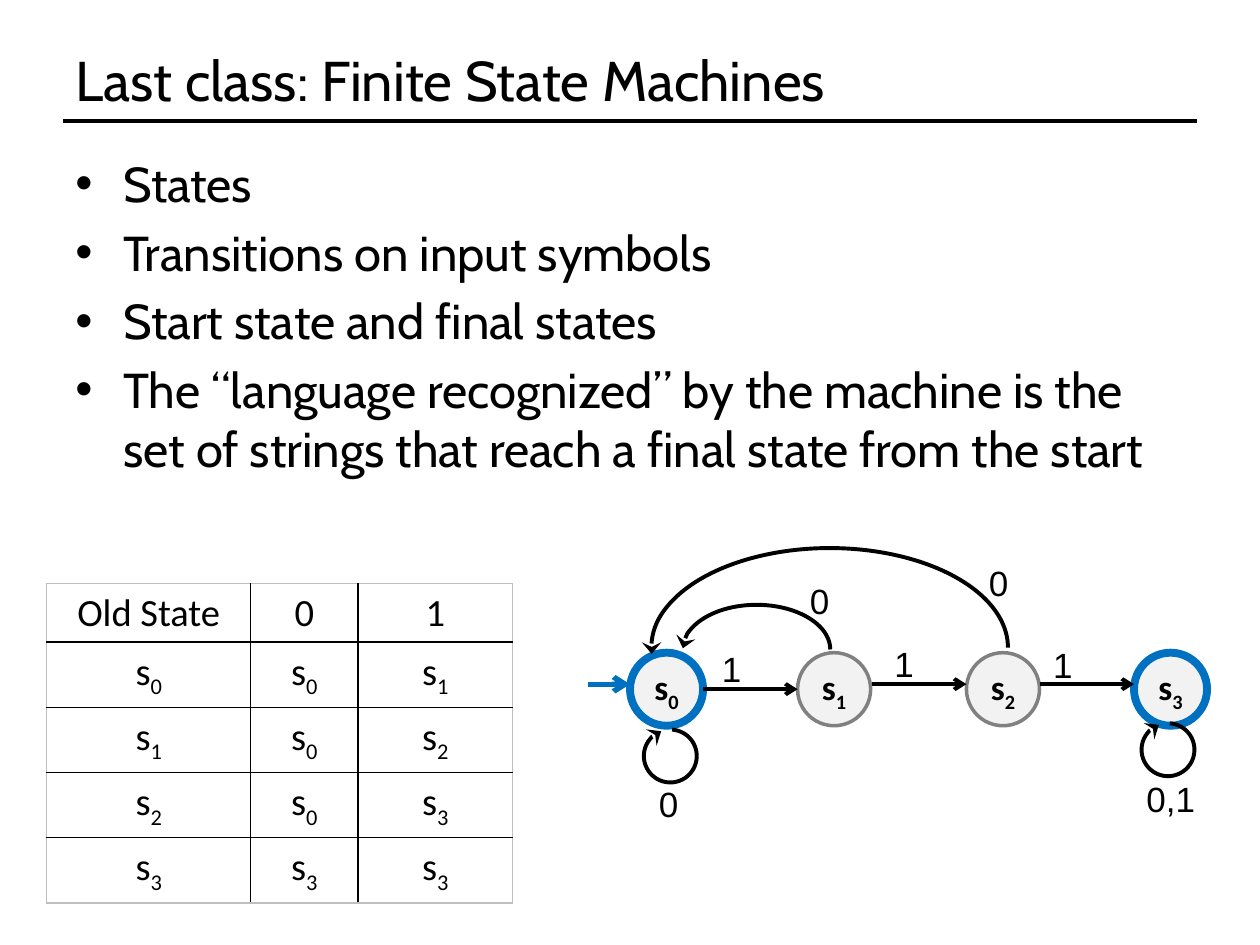
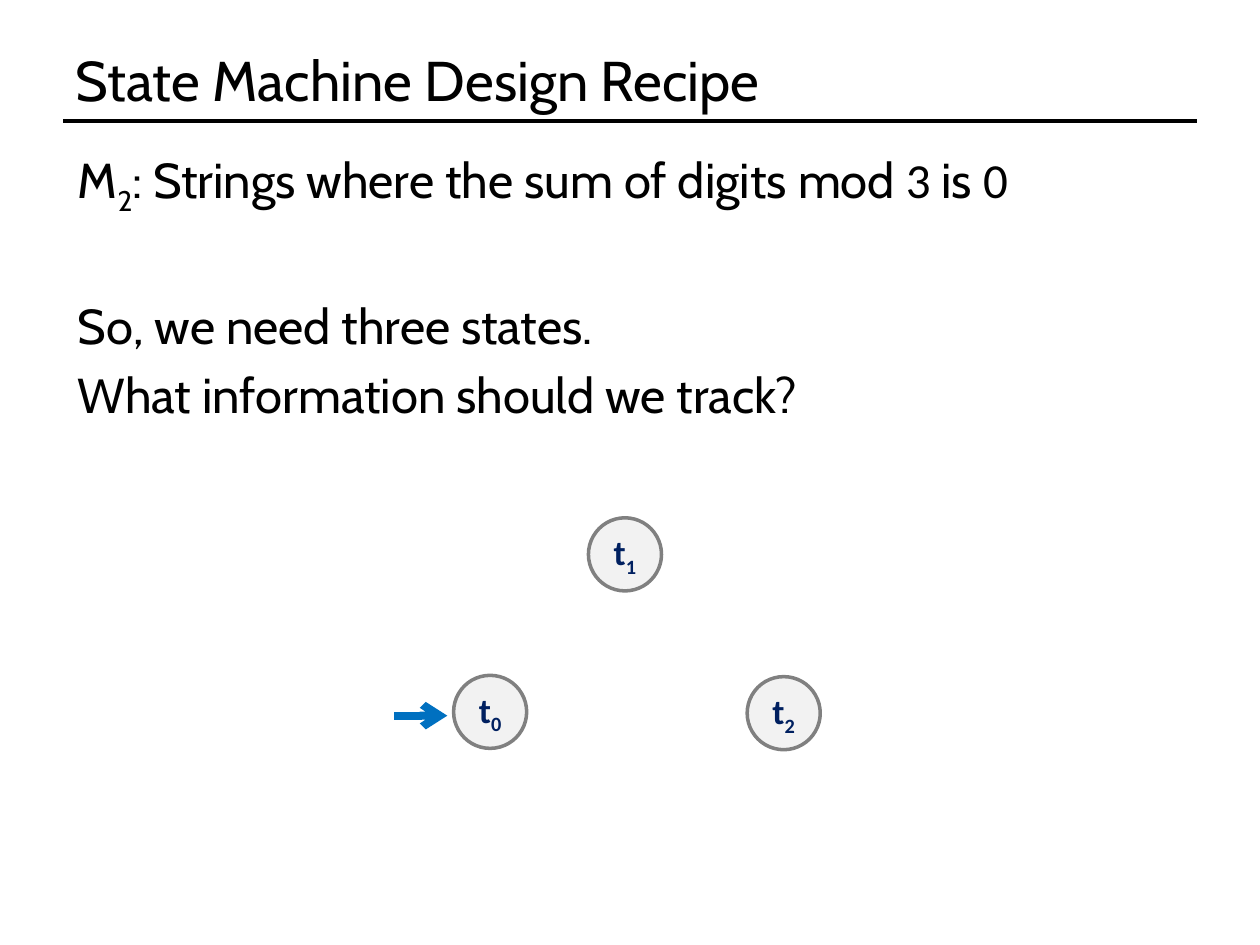
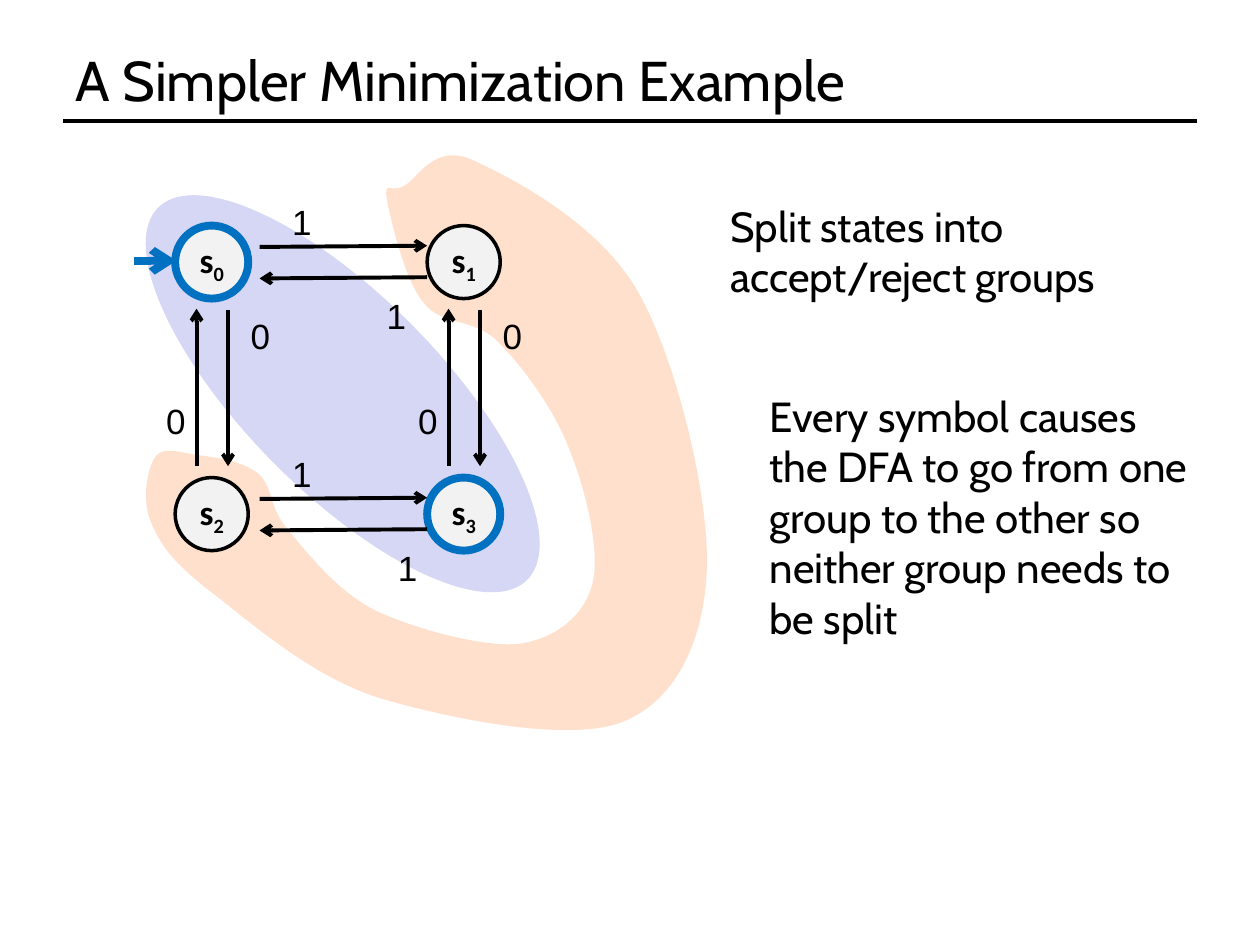
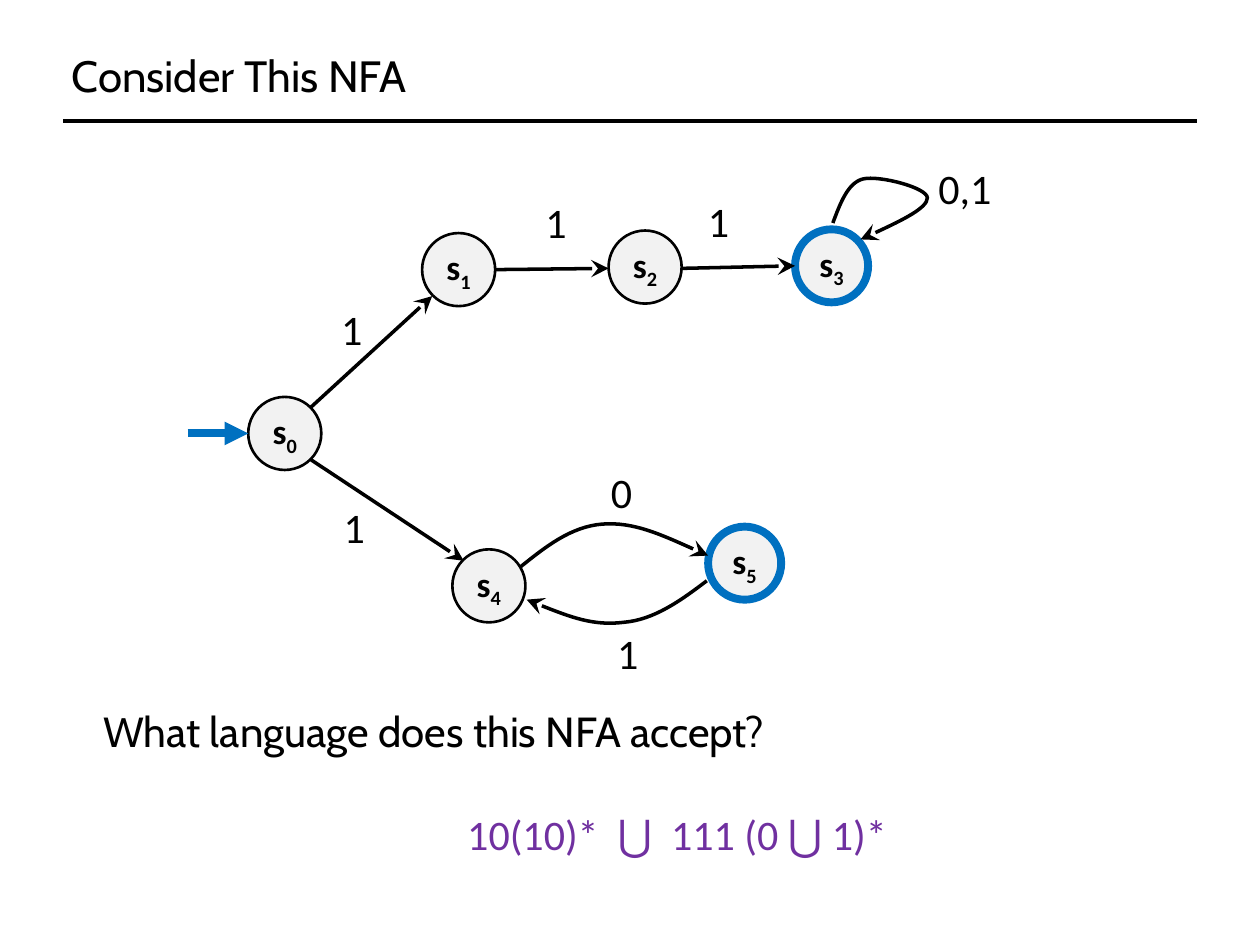
import itertools
from dataclasses import dataclass
from typing import Any, NamedTuple, Optional, Sequence

import pptx
import pptx.dml.color
import pptx.enum.shapes
import pptx.enum.text
import pptx.oxml.ns
import pptx.util
from lxml import etree

Inches = pptx.util.Inches
Pt = pptx.util.Pt
RGBColor = pptx.dml.color.RGBColor
SHAPE = pptx.enum.shapes.MSO_SHAPE
qn = pptx.oxml.ns.qn

# Shared colours, fonts and sizes
BLACK = RGBColor(0x00, 0x00, 0x00)
GRAY = RGBColor(0x80, 0x80, 0x80)
FRAME_GRAY = RGBColor(0xBF, 0xBF, 0xBF)
STATE_FILL = RGBColor(0xF2, 0xF2, 0xF2)
BLUE = RGBColor(0x00, 0x70, 0xC0)
NAVY = RGBColor(0x00, 0x20, 0x60)
PURPLE = RGBColor(0x70, 0x30, 0xA0)
PEACH = RGBColor(0xFF, 0xE0, 0xCC)
LAVENDER = RGBColor(0xD6, 0xD6, 0xF5)

HEAD, BODY, SYMBOL = "Cabin", "Calibri", "Arial"
STATE_SIZE = 0.58
TITLE_BOX = (0.5, 0.3, 9, 0.66)
PARAGRAPH_GAP = 5.6
BLANK_LINE_GAP = 45

Point = tuple[float, float]
Box = tuple[float, float, float, float]
Curve = tuple[float, float, float, float, float, float]


class Run(NamedTuple):
    text: str
    sub: bool = False
    font: Optional[str] = None
    tracking: float = 0


class Pen(NamedTuple):
    color: RGBColor
    width: float


class Tip(NamedTuple):
    kind: str
    width: str = "med"
    length: str = "med"


ACCEPT = Pen(BLUE, 4.5)
GRAY_RING = Pen(GRAY, 2)
RING = Pen(BLACK, 2)
THIN_RING = Pen(BLACK, 1.5)
EDGE = Pen(BLACK, 2.25)
NFA_EDGE = Pen(BLACK, 2)
TITLE_RULE = Pen(BLACK, 2)

ARROW = Tip("arrow")
TRIANGLE = Tip("triangle")
ARC_TIP = Tip("stealth", "lg")
NFA_TIP = Tip("stealth", "lg", "lg")


@dataclass
class State:
    index: int
    x: float
    y: float
    pen: Pen
    letter: str = "s"
    color: RGBColor = BLACK


@dataclass
class Edge:
    start: Point
    end: Point
    pen: Pen = EDGE
    head: Optional[Tip] = None
    tail: Optional[Tip] = ARROW


@dataclass
class Arc:
    box: Box
    start_angle: float
    rotation: float = 0
    head: Optional[Tip] = None
    tail: Optional[Tip] = None


@dataclass
class Label:
    text: str
    x: float
    y: float
    width: float = 0.25


# Text helpers
def set_format(font: Any, color: RGBColor, fmt: dict[str, Any]) -> None:
    for key, value in fmt.items():
        setattr(font, key, value)
    font.color.rgb = color


def add_runs(p: Any, runs: Sequence[Run], name: str, size: float,
             color: RGBColor = BLACK, bold: bool = False) -> None:
    for run in runs:
        r = p.add_run()
        r.text = run.text
        set_format(r.font, color,
                   {"name": run.font or name, "size": Pt(size), "bold": bold})
        if run.sub:
            r._r.get_or_add_rPr().set("baseline", "-25000")
        if run.tracking:
            r._r.get_or_add_rPr().set("spc", str(round(run.tracking * 100)))


def set_indent(p: Any, left: float, first: float = 0) -> None:
    pPr = p._p.get_or_add_pPr()
    pPr.set("marL", str(Inches(left)))
    pPr.set("indent", str(Inches(first)))


def add_bullet(p: Any) -> None:
    set_indent(p, 0.38, -0.38)
    pPr = p._p.get_or_add_pPr()
    etree.SubElement(pPr, qn("a:buFont"), typeface=SYMBOL)
    etree.SubElement(pPr, qn("a:buChar"), char="•")


def add_text(s: Any, box: Box, paragraphs: Sequence[Sequence[Run]], name: str,
             size: float, color: RGBColor = BLACK, bullets: bool = False,
             gaps: Sequence[float] = (), grow: bool = True) -> Any:
    tf = s.shapes.add_textbox(*map(Inches, box)).text_frame
    tf.word_wrap = True
    sizing = pptx.enum.text.MSO_AUTO_SIZE
    tf.auto_size = sizing.SHAPE_TO_FIT_TEXT if grow else sizing.NONE
    for i, runs in enumerate(paragraphs):
        p = tf.add_paragraph() if i else tf.paragraphs[0]
        if bullets:
            add_bullet(p)
        if i:
            p.space_before = Pt(gaps[i - 1])
        add_runs(p, runs, name, size, color)
    return tf


def add_labels(s: Any, labels: Sequence[Label], name: str, size: float,
               height: float) -> None:
    for label in labels:
        add_text(s, (label.x, label.y, label.width, height),
                 [[Run(label.text)]], name, size)


# Line and shape helpers
def style_line(shape: Any, pen: Pen, head: Optional[Tip] = None,
               tail: Optional[Tip] = None) -> None:
    shape.line.color.rgb = pen.color
    shape.line.width = Pt(pen.width)
    ln = shape._element.spPr.find(qn("a:ln"))
    for tag, tip in (("a:headEnd", head), ("a:tailEnd", tail)):
        if tip:
            etree.SubElement(ln, qn(tag), type=tip.kind, w=tip.width, len=tip.length)


def add_edge(s: Any, edge: Edge) -> Any:
    line = s.shapes.add_connector(pptx.enum.shapes.MSO_CONNECTOR.STRAIGHT,
                                  *map(Inches, edge.start + edge.end))
    style_line(line, edge.pen, edge.head, edge.tail)
    etree.SubElement(line._element.spPr, qn("a:effectLst"))
    return line


def add_arc(s: Any, arc: Arc) -> None:
    sp = s.shapes.add_shape(SHAPE.ARC, *map(Inches, arc.box))
    sp.shadow.inherit = False
    sp.adjustments[0], sp.adjustments[1] = arc.start_angle, 0
    sp.rotation = arc.rotation
    sp.fill.background()
    style_line(sp, EDGE, arc.head, arc.tail)


def add_ellipse(s: Any, box: Box, fill: RGBColor) -> Any:
    sp = s.shapes.add_shape(SHAPE.OVAL, *map(Inches, box))
    sp.shadow.inherit = False
    sp.fill.solid()
    sp.fill.fore_color.rgb = fill
    return sp


def add_state(s: Any, state: State) -> None:
    sp = add_ellipse(s, (state.x, state.y, STATE_SIZE, STATE_SIZE), STATE_FILL)
    style_line(sp, state.pen)
    tf = sp.text_frame
    for side in ("left", "right", "top", "bottom"):
        setattr(tf, f"margin_{side}", 0)
    tf.vertical_anchor = pptx.enum.text.MSO_ANCHOR.MIDDLE
    p = tf.paragraphs[0]
    p.alignment = pptx.enum.text.PP_ALIGN.CENTER
    add_runs(p, [Run(state.letter), Run(str(state.index), sub=True)],
             BODY, 20, state.color, bold=True)


def add_curve(s: Any, start: Point, curves: Sequence[Curve],
              close: bool = False) -> Any:
    """A freeform whose segments, three points each, become cubic curves."""
    points = [(Inches(c[i]), Inches(c[i + 1])) for c in curves for i in (0, 2, 4)]
    builder = s.shapes.build_freeform(Inches(start[0]), Inches(start[1]))
    builder.add_line_segments(points, close=close)
    sp = builder.convert_to_shape()
    sp.shadow.inherit = False
    segments = list(sp._element.iter(qn("a:lnTo")))
    for i in range(0, len(segments), 3):
        cubic = etree.Element(qn("a:cubicBezTo"))
        segments[i].addprevious(cubic)
        for segment in segments[i:i + 3]:
            cubic.append(segment[0])
            segment.getparent().remove(segment)
    return sp


def add_slide(prs: Any, title: str, box: Box = TITLE_BOX, size: float = 32) -> Any:
    s = prs.slides.add_slide(prs.slide_layouts[5])
    sp = s.shapes.title
    sp.left, sp.top, sp.width, sp.height = map(Inches, box)
    tf = sp.text_frame
    tf.auto_size = pptx.enum.text.MSO_AUTO_SIZE.NONE
    tf.vertical_anchor = pptx.enum.text.MSO_ANCHOR.MIDDLE
    p = tf.paragraphs[0]
    p.alignment = pptx.enum.text.PP_ALIGN.LEFT
    add_runs(p, [Run(title)], HEAD, size)
    return s


def add_title_rule(s: Any) -> None:
    """Place the rule under the title on the layout that all slides share."""
    rule = add_edge(s, Edge((0.5, 0.96), (9.5, 0.96), TITLE_RULE, tail=None))
    s.slide_layout.shapes._spTree.append(rule._element)


# Transition table
def add_borders(cell: Any, outer: Sequence[bool]) -> None:
    tcPr = cell._tc.get_or_add_tcPr()
    for i, tag in enumerate(("a:lnL", "a:lnR", "a:lnT", "a:lnB")):
        pen = Pen(FRAME_GRAY, 0.75) if outer[i] else Pen(BLACK, 1)
        ln = etree.Element(qn(tag), w=str(Pt(pen.width)))
        fill = etree.SubElement(ln, qn("a:solidFill"))
        etree.SubElement(fill, qn("a:srgbClr"), val=str(pen.color))
        tcPr.insert(i, ln)


def add_transition_table(s: Any, next_states: Sequence[Sequence[int]]) -> None:
    rows = [[[Run(text)] for text in ("Old State", "0", "1")]]
    for old, following in enumerate(next_states):
        rows.append([[Run("s"), Run(str(n), sub=True)] for n in (old, *following)])
    table = s.shapes.add_table(len(rows), 3, Inches(0.37), Inches(4.63),
                               Inches(3.69), Inches(2.33)).table
    table.first_row = table.horz_banding = False
    for column, width in zip(table.columns, (1.62, 0.85, 1.23)):
        column.width = Inches(width)
    for i, row in enumerate(rows):
        for j, runs in enumerate(row):
            cell = table.cell(i, j)
            cell.fill.background()
            add_borders(cell, (j == 0, j == len(row) - 1,
                               i == 0, i == len(rows) - 1))
            p = cell.text_frame.paragraphs[0]
            p.alignment = pptx.enum.text.PP_ALIGN.CENTER
            add_runs(p, runs, BODY, 22)


# Slides
def build_last_class(prs: Any) -> None:
    s = add_slide(prs, "Last class: Finite State Machines")
    add_title_rule(s)
    bullets = ("States", "Transitions on input symbols",
               "Start state and final states",
               "The “language recognized” by the machine is the set of strings "
               "that reach a final state from the start")
    add_text(s, (0.5, 1.17, 9, 3.25), [[Run(text)] for text in bullets], HEAD, 28,
             bullets=True, gaps=[PARAGRAPH_GAP] * 3, grow=False)

    for i, pen in enumerate((ACCEPT, GRAY_RING, GRAY_RING, ACCEPT)):
        add_state(s, State(i, round(5 + i * 4 / 3, 2), 5.18, pen))
    for edge in (Edge((5.58, 5.47), (6.33, 5.47)),
                 Edge((6.92, 5.43), (7.67, 5.43)),
                 Edge((8.25, 5.43), (9, 5.43)),
                 Edge((4.67, 5.43), (5, 5.43), Pen(BLUE, 3))):
        add_edge(s, edge)
    for arc in (Arc((5.42, 4.8, 1.17, 0.71), 108.56, head=ARC_TIP),
                Arc((5.17, 4.35, 2.83, 1.58), 106.77, head=ARC_TIP),
                Arc((5.11, 5.79, 0.42, 0.42), 14.54, 249.8, tail=ARC_TIP),
                Arc((9.06, 5.74, 0.42, 0.42), 14.54, 249.8, tail=ARC_TIP)):
        add_arc(s, arc)
    add_labels(s, [Label("1", 5.63, 5.09), Label("1", 7, 5.05),
                   Label("1", 8.26, 5.06), Label("0", 6.33, 4.55),
                   Label("0", 7.75, 4.41), Label("0", 5.13, 6.16),
                   Label("0,1", 9, 6.12, 0.88)], SYMBOL, 20, 0.44)
    add_transition_table(s, [(0, 1), (0, 2), (0, 3), (3, 3)])


def build_design_recipe(prs: Any) -> None:
    s = add_slide(prs, "State Machine Design Recipe")
    add_text(s, (0.52, 1.14, 9, 5.62),
             [[Run("M"), Run("2", sub=True),
               Run(": Strings where the sum of digits mod "),
               Run("3", font=BODY), Run(" is "), Run("0", font=BODY)],
              [Run("So, we need three states.")],
              [Run("What information should we track?")]],
             HEAD, 28, gaps=[BLANK_LINE_GAP, PARAGRAPH_GAP], grow=False)
    for i, (x, y) in enumerate(((3.6, 5.36), (4.67, 4.11), (5.93, 5.37))):
        add_state(s, State(i, x, y, GRAY_RING, "t", NAVY))
    add_edge(s, Edge((3.13, 5.68), (3.55, 5.68), ACCEPT))


REJECT_GROUP: list[Curve] = [
    (3.1, 1.74, 3.21, 2.22, 3.36, 2.4), (3.5, 2.59, 3.76, 2.52, 3.95, 2.71),
    (4.15, 2.91, 4.4, 3.25, 4.52, 3.57), (4.65, 3.89, 4.77, 4.39, 4.7, 4.64),
    (4.63, 4.9, 4.4, 5.07, 4.12, 5.11), (3.83, 5.14, 3.29, 4.99, 2.99, 4.85),
    (2.68, 4.7, 2.44, 4.39, 2.29, 4.21), (2.13, 4.03, 2.17, 3.86, 2.05, 3.76),
    (1.93, 3.66, 1.7, 3.63, 1.56, 3.61), (1.42, 3.59, 1.29, 3.54, 1.23, 3.63),
    (1.17, 3.72, 1.12, 3.97, 1.2, 4.15), (1.28, 4.34, 1.39, 4.48, 1.69, 4.71),
    (1.99, 4.94, 2.47, 5.37, 3.01, 5.54), (3.55, 5.7, 4.51, 5.9, 4.94, 5.73),
    (5.37, 5.56, 5.59, 5.08, 5.61, 4.51), (5.63, 3.94, 5.37, 2.85, 5.06, 2.31),
    (4.75, 1.77, 4.06, 1.41, 3.75, 1.27), (3.44, 1.13, 3.31, 1.43, 3.2, 1.48),
    (3.09, 1.53, 3.05, 1.43, 3.07, 1.58),
]


def build_minimization(prs: Any) -> None:
    s = add_slide(prs, "A Simpler Minimization Example")

    # Reject and accept groups
    reject = add_curve(s, (3.07, 1.58), REJECT_GROUP, close=True)
    reject.fill.solid()
    reject.fill.fore_color.rgb = PEACH
    reject.line.fill.background()
    accept = add_ellipse(s, (0.64, 2.35, 4.16, 1.55), LAVENDER)
    accept.rotation = 45.3
    accept.line.fill.background()

    # Two by two grid of states, with a pair of edges along each side
    pitch = 2
    for row, col in itertools.product(range(2), repeat=2):
        add_state(s, State(2 * row + col, 1.39 + pitch * col, 1.79 + pitch * row,
                           ACCEPT if row == col else RING))
    labels = []
    for i, lower_label_x in enumerate((2.97, 3.06)):
        d = pitch * i
        add_edge(s, Edge((2.06, 1.96 + d), (3.39, 1.95 + d)))
        add_edge(s, Edge((2.06, 2.21 + d), (3.39, 2.2 + d), head=ARROW, tail=None))
        add_edge(s, Edge((1.81 + d, 2.46), (1.81 + d, 3.7)))
        add_edge(s, Edge((1.56 + d, 2.45), (1.56 + d, 3.7), head=ARROW, tail=None))
        labels += [Label("1", 2.22, 1.54 + d), Label("1", lower_label_x, 2.29 + d),
                   Label("0", 1.89 + d, 2.45), Label("0", 1.22 + d, 3.12)]
    add_labels(s, labels, SYMBOL, 20, 0.44)
    add_edge(s, Edge((1.06, 2.07), (1.4, 2.07), ACCEPT))

    # Remarks
    add_text(s, (5.7, 1.54, 3.57, 0.91),
             [[Run("Split states into accept/reject groups")]], HEAD, 24)
    add_text(s, (6.01, 3.05, 3.64, 2.12),
             [[Run("Every symbol causes the DFA to go from one group to the "
                   "other so neither group needs to be split")]], HEAD, 24)


def build_nfa(prs: Any) -> None:
    s = add_slide(prs, "Consider This NFA", (0.47, 0.34, 9.21, 0.51), 25)
    add_text(s, (0.72, 5.55, 5.65, 0.5),
             [[Run("What language does this NFA accept?")]], HEAD, 24)

    places = ((1.97, 3.15), (3.35, 1.85), (4.83, 1.83),
              (6.31, 1.82), (3.59, 4.36), (5.62, 4.18))
    for i, (x, y) in enumerate(places):
        add_state(s, State(i, x, y, ACCEPT if i in (3, 5) else THIN_RING))
    for start, end in (((2.47, 3.23), (3.43, 2.35)), ((2.47, 3.65), (3.68, 4.45)),
                       ((3.93, 2.14), (4.83, 2.13)), ((5.41, 2.13), (6.31, 2.11))):
        add_edge(s, Edge(start, end, NFA_EDGE, tail=NFA_TIP))
    add_edge(s, Edge((1.49, 3.44), (1.97, 3.44), ACCEPT, tail=TRIANGLE))

    # Curved edges between s4 and s5, and the loop on s3
    for start, curves in (
            ((4.13, 4.5), [(4.33, 4.34, 4.53, 4.18, 4.78, 4.16),
                           (5.03, 4.14, 5.33, 4.28, 5.62, 4.41)]),
            ((5.61, 4.61), [(5.4, 4.77, 5.19, 4.92, 4.95, 4.94),
                            (4.71, 4.97, 4.45, 4.87, 4.18, 4.76)]),
            ((6.61, 1.77), [(6.67, 1.61, 6.73, 1.45, 6.85, 1.42),
                            (6.98, 1.39, 7.36, 1.49, 7.36, 1.57),
                            (7.36, 1.65, 7.1, 1.78, 6.83, 1.9)])):
        sp = add_curve(s, start, curves)
        sp.fill.background()
        style_line(sp, NFA_EDGE, tail=NFA_TIP)

    add_labels(s, [Label("1", 2.61, 2.36, 0.37), Label("1", 2.63, 3.93, 0.37),
                   Label("1", 4.23, 1.51, 0.37), Label("1", 5.52, 1.5, 0.37),
                   Label("0", 4.75, 3.65, 0.37), Label("1", 4.8, 4.93, 0.37),
                   Label("0,1", 7.35, 1.24, 0.63)], BODY, 24, 0.5)

    # Answer, with wider gaps around the main union sign
    wide_space = Run(" ", tracking=5.4)
    tf = add_text(s, (3.15, 6.37, 4.32, 0.5),
                  [[Run("10(10)*"), wide_space, Run("⋃"), wide_space,
                    Run("111 (0 ⋃ 1)*")]], BODY, 24, PURPLE)
    set_indent(tf.paragraphs[0], 0.46)


def main() -> None:
    prs = pptx.Presentation()
    prs.slide_width, prs.slide_height = Inches(10), Inches(7.5)
    build_last_class(prs)
    build_design_recipe(prs)
    build_minimization(prs)
    build_nfa(prs)
    prs.save("out.pptx")


if __name__ == "__main__":
    main()
